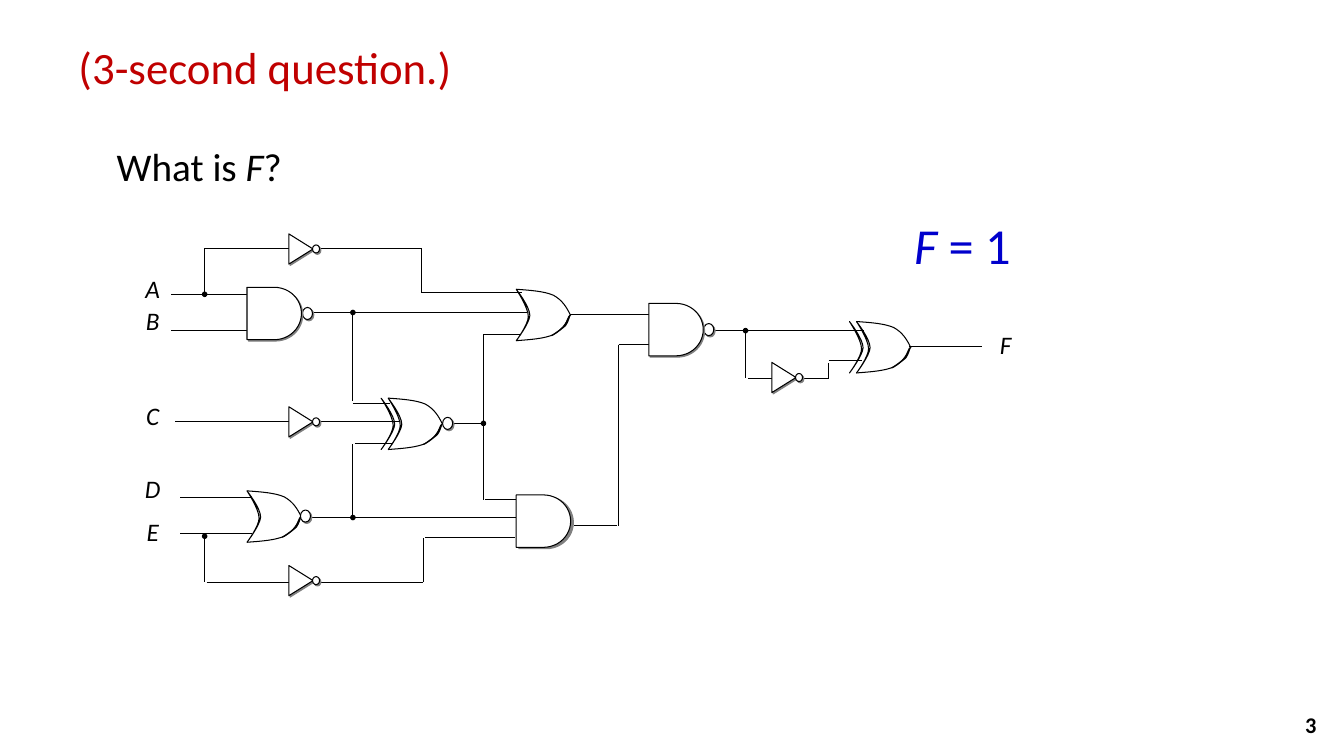
"""Build the logic circuit question slide on a grid of tenth-inch cells."""
from dataclasses import dataclass

from lxml import etree
from pptx import Presentation
from pptx.dml.color import RGBColor
from pptx.enum.shapes import MSO_CONNECTOR, MSO_SHAPE
from pptx.enum.text import MSO_ANCHOR, PP_ALIGN
from pptx.oxml.ns import qn
from pptx.shapes.autoshape import Shape
from pptx.slide import Slide
from pptx.util import Emu, Inches, Pt

STRAIGHT = MSO_CONNECTOR.STRAIGHT
DELAY, TRIANGLE, OVAL = MSO_SHAPE.FLOWCHART_DELAY, MSO_SHAPE.FLOWCHART_MERGE, MSO_SHAPE.OVAL
LEFT, CENTER, RIGHT = PP_ALIGN.LEFT, PP_ALIGN.CENTER, PP_ALIGN.RIGHT
TOP, MIDDLE = MSO_ANCHOR.TOP, MSO_ANCHOR.MIDDLE
BLACK, WHITE = RGBColor(0, 0, 0), RGBColor(255, 255, 255)
RED, BLUE = RGBColor(0xC0, 0, 0), RGBColor(0, 0, 0xCC)
SHADOW_GRAY = RGBColor(0x80, 0x80, 0x80)
CELL = Inches(0.1)
LINE_WIDTH = Pt(0.75)

Point = tuple[float, float]


@dataclass(frozen=True)
class Wire:
    start: Point
    end: Point
    dot: bool = False


@dataclass(frozen=True)
class OrGate:
    column: float
    row: float
    exclusive: bool = False


@dataclass(frozen=True)
class Part:
    kind: int
    column: float
    row: float
    width: float
    height: float
    rotation: float = 0
    shadow_points: float = 1.4
    shadow_degrees: int = 45


@dataclass(frozen=True)
class Caption:
    runs: tuple[tuple[str, bool], ...]
    column: float
    row: float
    width: float
    height: float
    size: float
    color: RGBColor = BLACK
    align: int = LEFT
    anchor: int = TOP
    bold: bool = False
    line_spacing: float = 1.0
    space_after: float = 0
    inset: float | None = None


TOP_CURVE = ((0, 0), (1.4, 0.1), (2.8, 0.2), (3.7, 0.6), (4.6, 1.1), (5, 1.8), (5.4, 2.6))
BOTTOM_CURVE = tuple((column, 5.1 - row) for column, row in TOP_CURVE)
BACK_CURVE = ((0, 0), (0, 0), (1.2, 1.8), (1.2, 2.7), (1.2, 3.5), (0, 5.1), (0, 5.1),
              (0, 5.1), (1.3, 3.4), (1.35, 2.6), (1.35, 1.7), (0, 0), (0, 0))
EDGE_CURVE = ((3.5, 4.6), (3.6, 4.6), (4.6, 3.9), (4.9, 3.6), (5.2, 3.2), (5.3, 2.6), (5.3, 2.6),
              (5.2, 2.6), (5, 3.3), (4.8, 3.6), (4.6, 3.9), (3.5, 4.6), (3.5, 4.6))

OR_GATES = (OrGate(24.5, 48.7), OrGate(51.2, 28.7),
            OrGate(84.95, 31.9, True), OrGate(38.5, 39.5, True))

WIRES = (
    Wire((17, 29.2), (25.2, 29.2)), Wire((17, 32.8), (25.2, 32.8)),
    Wire((17.4, 41.8), (39.7, 41.8)),
    Wire((17.9, 49.4), (25, 49.4)), Wire((17.9, 52.95), (25, 52.95)),
    Wire((20.3, 29.2), (20.3, 24.65), True), Wire((20.3, 24.65), (41.8, 24.65)),
    Wire((41.8, 24.65), (41.8, 29)), Wire((41.8, 29), (51.8, 29)),
    Wire((20.3, 53.2), (20.3, 57.75), True), Wire((20.5, 57.75), (42, 57.75)),
    Wire((42, 57.75), (42, 53.35)), Wire((42.2, 53.35), (51.1, 53.35)),
    Wire((30.8, 31), (52.3, 31)), Wire((30.8, 51.35), (52.3, 51.35)),
    Wire((35, 31), (35, 39.8), True), Wire((35, 40), (38.7, 40)),
    Wire((35, 51.35), (35, 44), True), Wire((35.2, 44), (38.9, 44)),
    Wire((47.95, 42), (43.9, 42), True), Wire((47.95, 33.2), (47.95, 49.6)),
    Wire((47.95, 33.2), (51.6, 33.2)), Wire((48.1, 49.6), (51.8, 49.6)),
    Wire((56.5, 31.2), (64.4, 31.2)), Wire((56.9, 52.15), (61.2, 52.15)),
    Wire((61.35, 34.2), (61.35, 52.15)), Wire((61.35, 34.2), (64.4, 34.2)),
    Wire((70.7, 32.8), (85.7, 32.8)), Wire((73.95, 32.8), (73.95, 37.55), True),
    Wire((74.2, 37.55), (82.2, 37.55)), Wire((82.2, 37.55), (82.2, 36)),
    Wire((82.2, 35.8), (85.5, 35.8)), Wire((90.2, 34.4), (97.35, 34.4)),
)

BUBBLES = ((30, 30.5), (29.8, 50.6), (43.9, 41.4), (69.8, 32.1))
INVERTERS = ((28.35, 23.5), (28.35, 40.65), (28.35, 56.4), (76.25, 36.25))
PARTS = (
    *(Part(OVAL, column, row, 1, 1.2) for column, row in BUBBLES),
    Part(DELAY, 24.5, 28.5, 5.4, 5.2),
    Part(DELAY, 64.35, 30.1, 5.4, 5.2),
    Part(DELAY, 51.2, 49.1, 5.4, 5.2, shadow_points=2.2, shadow_degrees=27),
    *(Part(TRIANGLE, column, row, 3, 2.4, 270) for column, row in INVERTERS),
    *(Part(OVAL, column + 2.65, row + 0.8, 0.7, 0.8) for column, row in INVERTERS),
)

SIGNALS = (("A", 13.3, 27), ("B", 13.3, 30.2), ("C", 13.3, 39.6),
           ("D", 13.3, 46.9), ("E", 13.3, 51.1), ("F", 97.9, 32.6))
CAPTIONS = (
    Caption((("3", False),), 101.55, 69.85, 30, 4, 16, align=RIGHT, anchor=MIDDLE, bold=True),
    Caption((("(3-second question.)", False),), 6.8, 4.05, 42.8, 5.6, 32, RED, line_spacing=0.9),
    *(Caption(((name, True),), column, row, 3.7, 4.2, 18, align=CENTER, space_after=10, inset=0.1)
      for name, column, row in SIGNALS),
    Caption((("F", True), (" = 1", False)), 88.5, 20.7, 13.9, 7.1, 36, BLUE, CENTER),
    Caption((("What is ", False), ("F", True), ("?", False)), 10.6, 14.15, 24.3, 6, 28,
            line_spacing=0.9),
)


def cells(count: float) -> Emu:
    """Convert a number of grid cells to a length."""
    return Emu(round(count * CELL))


def style_shape(shape: Shape) -> None:
    """Give a gate outline its white fill and thin black line."""
    shape.shadow.inherit = False
    shape.fill.solid()
    shape.fill.fore_color.rgb = WHITE
    shape.line.color.rgb = BLACK
    shape.line.width = LINE_WIDTH


def draw_curve(slide: Slide, controls: tuple[Point, ...], column: float, row: float) -> None:
    """Draw a chain of cubic curves, three control points to each."""
    points = [(cells(column + x), cells(row + y)) for x, y in controls]
    builder = slide.shapes.build_freeform(*points[0])
    builder.add_line_segments(points[1:], close=controls[0] == controls[-1])
    shape = builder.convert_to_shape()
    segments = list(shape._element.iter(qn("a:lnTo")))
    for first in range(0, len(segments), 3):
        curve = etree.Element(qn("a:cubicBezTo"))
        segments[first].addprevious(curve)
        for segment in segments[first:first + 3]:
            curve.append(segment[0])
            segment.getparent().remove(segment)
    style_shape(shape)


def draw_or_gate(slide: Slide, gate: OrGate) -> None:
    """Draw an OR gate, with a second back curve if exclusive."""
    for controls in (TOP_CURVE, BOTTOM_CURVE, BACK_CURVE, EDGE_CURVE):
        draw_curve(slide, controls, gate.column, gate.row)
    if gate.exclusive:
        draw_curve(slide, BACK_CURVE, gate.column - 0.7, gate.row)


def draw_wire(slide: Slide, wire: Wire) -> None:
    """Draw a wire, with a junction dot at its start if asked."""
    connector = slide.shapes.add_connector(STRAIGHT, *map(cells, wire.start + wire.end))
    connector.line.color.rgb = BLACK
    connector.line.width = LINE_WIDTH
    properties = connector._element.spPr
    if wire.dot:
        etree.SubElement(properties.find(qn("a:ln")), qn("a:headEnd"), type="oval", w="sm", len="sm")
    etree.SubElement(properties, qn("a:effectLst"))


def draw_part(slide: Slide, part: Part) -> None:
    """Draw a preset shape with a hard offset shadow."""
    shape = slide.shapes.add_shape(
        part.kind, *map(cells, (part.column, part.row, part.width, part.height)))
    shape.rotation = part.rotation
    style_shape(shape)
    shadow = etree.SubElement(
        shape._element.spPr.find(qn("a:effectLst")), qn("a:outerShdw"),
        dist=str(Pt(part.shadow_points)), dir=str(part.shadow_degrees * 60000),
        algn="ctr", rotWithShape="0")
    etree.SubElement(shadow, qn("a:srgbClr"), val=str(SHADOW_GRAY))


def draw_caption(slide: Slide, caption: Caption) -> None:
    """Draw a one-paragraph text box."""
    box = slide.shapes.add_textbox(
        *map(cells, (caption.column, caption.row, caption.width, caption.height)))
    frame = box.text_frame
    frame.word_wrap = True
    frame.vertical_anchor = caption.anchor
    if caption.inset is not None:
        frame.margin_left = frame.margin_right = cells(caption.inset)
        frame.margin_top = frame.margin_bottom = cells(caption.inset)
    paragraph = frame.paragraphs[0]
    paragraph.alignment = caption.align
    paragraph.line_spacing = caption.line_spacing
    paragraph.space_after = Pt(caption.space_after)
    font = paragraph.font
    font.name, font.size, font.bold = "Calibri", Pt(caption.size), caption.bold
    font.color.rgb = caption.color
    for text, italic in caption.runs:
        run = paragraph.add_run()
        run.text = text
        run.font.italic = italic


def main() -> None:
    """Draw the slide and save the presentation."""
    presentation = Presentation()
    presentation.slide_width, presentation.slide_height = Inches(13.33), Inches(7.5)
    slide = presentation.slides.add_slide(presentation.slide_layouts[6])
    for draw, items in ((draw_or_gate, OR_GATES), (draw_wire, WIRES),
                        (draw_part, PARTS), (draw_caption, CAPTIONS)):
        for item in items:
            draw(slide, item)
    presentation.save("out.pptx")


if __name__ == "__main__":
    main()
